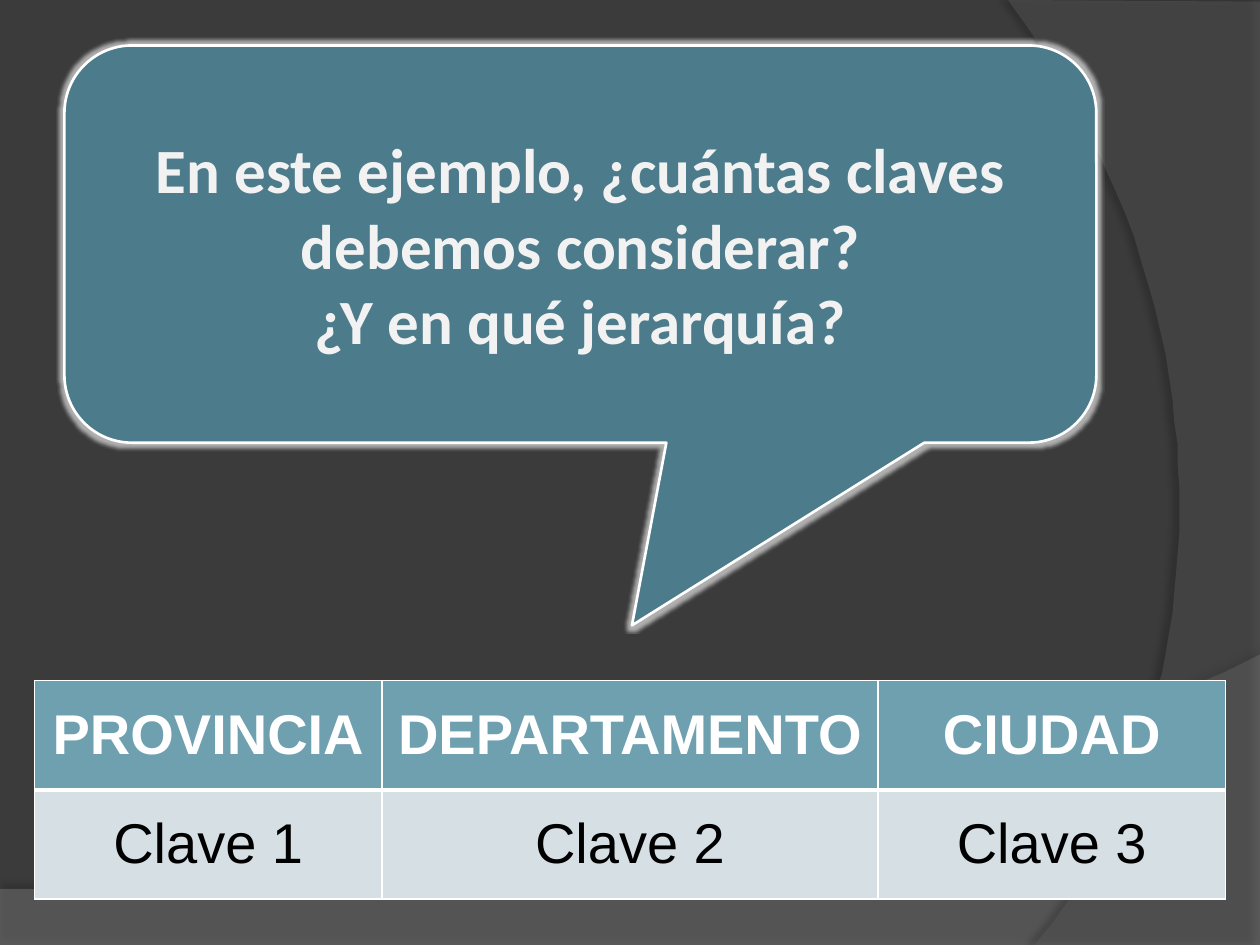
from dataclasses import dataclass

from lxml.etree import SubElement
from pptx import Presentation
from pptx.dml.color import RGBColor
from pptx.enum.shapes import MSO_SHAPE as Shape
from pptx.enum.text import MSO_ANCHOR as Anchor, PP_ALIGN as Align
from pptx.oxml.ns import qn
from pptx.util import Pt


@dataclass(frozen=True)
class Theme:
    background: str = "3B3B3B"
    band: str = "7F7F7F"
    side: str = "5E5E5E"
    callout: str = "4C7C8B"
    callout_text: str = "F2F2F2"
    header: str = "6EA0B0"
    body: str = "D5DFE4"
    white: str = "FFFFFF"
    black: str = "000000"
    callout_font: str = "Calibri"
    table_font: str = "Arial"
    callout_size: int = 36
    table_size: int = 32


THEME = Theme()
WIDTH, HEIGHT = 720, 540
QUESTIONS = [
    "En este ejemplo, ¿cuántas claves debemos considerar?",
    "¿Y en qué jerarquía?",
]
KEYS = [
    ["PROVINCIA", "DEPARTAMENTO", "CIUDAD"],
    ["Clave 1", "Clave 2", "Clave 3"],
]


def rgb(color):
    return RGBColor.from_string(color)


def add_color(parent, color, opacity):
    node = SubElement(parent, qn("a:srgbClr"), val=color)
    SubElement(node, qn("a:alpha"), val=str(opacity * 1000))


def add_effect(shape, kind, color, opacity, **settings):
    """Give the shape one effect, such as a glow or an outer shadow."""
    shape.shadow.inherit = False
    effects = shape._element.spPr.find(qn("a:effectLst"))
    values = {name: str(value) for name, value in settings.items()}
    add_color(SubElement(effects, qn(f"a:{kind}"), **values), color, opacity)


def curve(start, first, second, end, steps=48):
    """Points along a cubic curve, after its start."""
    points = []
    for step in range(1, steps + 1):
        t = step / steps
        weights = ((1 - t) ** 3, 3 * t * (1 - t) ** 2, 3 * t * t * (1 - t), t ** 3)
        corners = (start, first, second, end)
        points.append(tuple(sum(w * corner[axis] for w, corner in zip(weights, corners))
                            for axis in (0, 1)))
    return points


def add_swoosh(page, points, color, opacity, shadow_opacity, distance, direction):
    builder = page.shapes.build_freeform(*points[0], scale=Pt(1))
    builder.add_line_segments(points[1:], close=True)
    shape = builder.convert_to_shape()
    shape.fill.solid()
    shape.fill.fore_color.rgb = rgb(color)
    fill = shape._element.spPr.find(qn("a:solidFill"))
    SubElement(fill[0], qn("a:alpha"), val=str(opacity * 1000))
    shape.line.fill.background()
    add_effect(shape, "outerShdw", THEME.black, shadow_opacity, blurRad=Pt(4),
               dist=Pt(distance), dir=direction * 60000, rotWithShape=0)


def write(para, text, font, size, color, bold):
    para.alignment = Align.CENTER
    span = para.add_run()
    span.text = text
    span.font.name = font
    span.font.size = Pt(size)
    span.font.bold = bold
    span.font.color.rgb = rgb(color)


def add_callout(page, lines, left, top, width, height):
    box = page.shapes.add_shape(Shape.ROUNDED_RECTANGULAR_CALLOUT,
                                Pt(left), Pt(top), Pt(width), Pt(height))
    for index, value in enumerate((0.05, 0.96, 0.17)):
        box.adjustments[index] = value
    box.fill.solid()
    box.fill.fore_color.rgb = rgb(THEME.callout)
    box.line.color.rgb = rgb(THEME.white)
    box.line.width = Pt(1.5)
    add_effect(box, "glow", THEME.white, 60, rad=Pt(4))
    frame = box.text_frame
    frame.word_wrap = True
    frame.vertical_anchor = Anchor.MIDDLE
    for index, line in enumerate(lines):
        para = frame.add_paragraph() if index else frame.paragraphs[0]
        write(para, line, THEME.callout_font, THEME.callout_size,
              THEME.callout_text, True)


def add_borders(cell, **widths):
    properties = cell._tc.get_or_add_tcPr()
    for side in "LRTB":
        line = SubElement(properties, qn(f"a:ln{side}"), w=str(Pt(widths.get(side, 1))))
        add_color(SubElement(line, qn("a:solidFill")), THEME.white, 100)


def add_key_table(page, rows, left, top, column_widths, row_height):
    table = page.shapes.add_table(
        len(rows), len(column_widths), Pt(left), Pt(top),
        Pt(sum(column_widths)), Pt(row_height * len(rows))).table
    table.horz_banding = False
    for column, width in zip(table.columns, column_widths):
        column.width = Pt(width)
    for index, texts in enumerate(rows):
        is_header = index == 0
        table.rows[index].height = Pt(row_height)
        for cell, text in zip(table.rows[index].cells, texts):
            add_borders(cell, **({"B": 3} if is_header else {"T": 3}))
            cell.fill.solid()
            cell.fill.fore_color.rgb = rgb(THEME.header if is_header else THEME.body)
            cell.vertical_anchor = Anchor.MIDDLE
            write(cell.text_frame.paragraphs[0], text, THEME.table_font,
                  THEME.table_size, THEME.white if is_header else THEME.black, is_header)


def main():
    deck = Presentation()
    deck.slide_width, deck.slide_height = Pt(WIDTH), Pt(HEIGHT)
    page = deck.slides.add_slide(deck.slide_layouts[6])
    page.background.fill.solid()
    page.background.fill.fore_color.rgb = rgb(THEME.background)

    # Curved backdrop: bottom band, then right side
    band_start, side_start = (WIDTH, 374.4), (591, HEIGHT)
    band = [(0, 507.6), (0, HEIGHT), (WIDTH, HEIGHT), band_start,
            *curve(band_start, (402.5, 525), (281.5, 517.7), (0, 507.6))]
    side = [(WIDTH, 1.4), (WIDTH, HEIGHT), side_start,
            *curve(side_start, (673.2, 445.7), (733, 216), (576, 0))]
    add_swoosh(page, band, THEME.band, 45, 35, 3.5, 270)
    add_swoosh(page, side, THEME.side, 40, 45, 4, 180)

    # Question and the keys it asks about
    add_callout(page, QUESTIONS, 36.8, 26, 589.7, 227)
    add_key_table(page, KEYS, 19.8, 389, (198.5, 283.5, 198.5), 62.4)

    deck.save("out.pptx")


if __name__ == "__main__":
    main()
